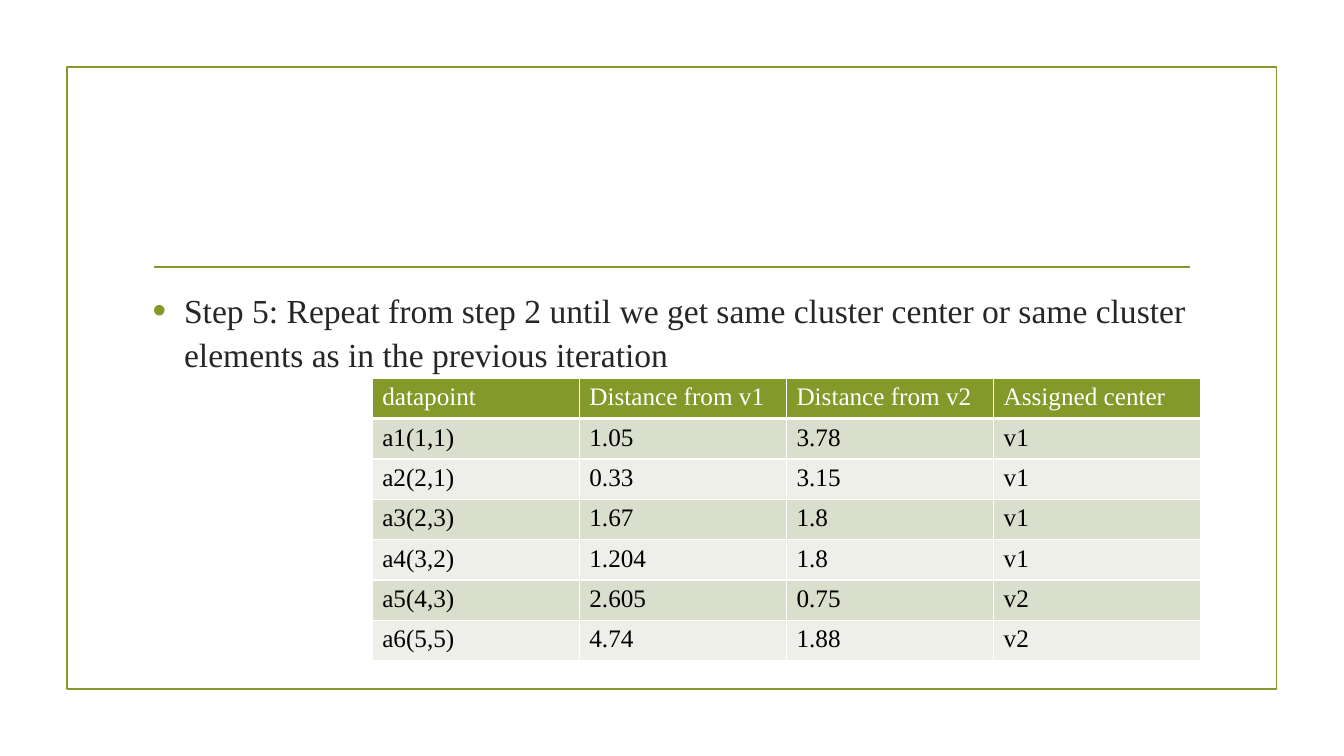
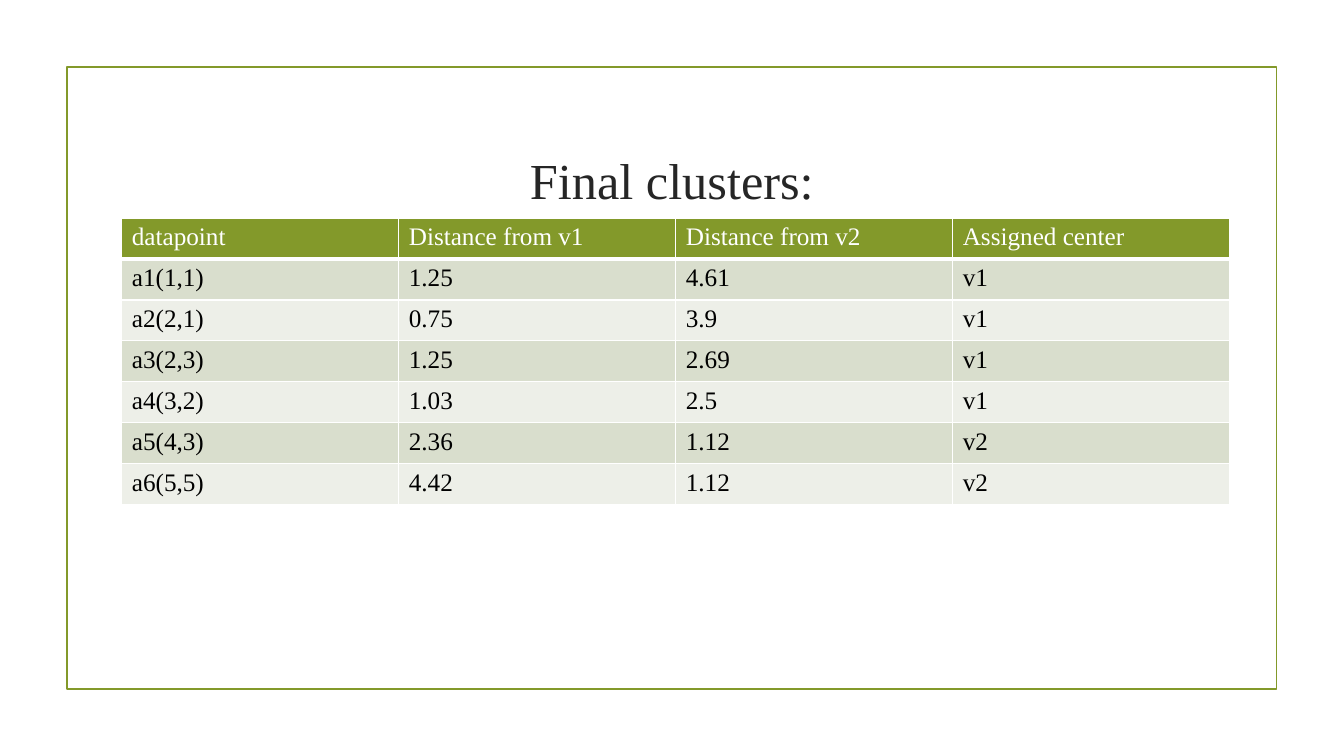
from dataclasses import dataclass
from typing import Any

import pptx
import pptx.dml.color
import pptx.enum.shapes
import pptx.enum.text
import pptx.oxml.ns
import pptx.util
from lxml import etree

Cm = pptx.util.Cm
Pt = pptx.util.Pt
RGBColor = pptx.dml.color.RGBColor
Align = pptx.enum.text.PP_ALIGN
Anchor = pptx.enum.text.MSO_ANCHOR
qn = pptx.oxml.ns.qn

GREEN = RGBColor(0x83, 0x99, 0x2A)
INK = RGBColor(0x26, 0x26, 0x26)
BLACK = RGBColor(0x00, 0x00, 0x00)
WHITE = RGBColor(0xFF, 0xFF, 0xFF)
ROW_FILLS = (RGBColor(0xD9, 0xDE, 0xCD), RGBColor(0xED, 0xEF, 0xE8))

FONT = "Times New Roman"
TITLE_FORMAT = {"name": FONT, "size": Pt(36), "color": INK}
BODY_FORMAT = {"name": FONT, "size": Pt(24), "color": INK}
HEADER_FORMAT = {"name": FONT, "size": Pt(18), "bold": False, "color": WHITE}
CELL_FORMAT = HEADER_FORMAT | {"color": BLACK}

RULE_WIDTH = Pt(1.25)
BORDER_WIDTH = Pt(1)
HEADER_BORDER_WIDTH = Pt(3)
CONTENT_LEFT = Cm(3.6)
CONTENT_WIDTH = Cm(26.67)

HEADINGS = ("datapoint", "Distance from v1", "Distance from v2", "Assigned center")
POINTS = ("a1(1,1)", "a2(2,1)", "a3(2,3)", "a4(3,2)", "a5(4,3)", "a6(5,5)")
CENTERS = ("v1", "v1", "v1", "v1", "v2", "v2")


@dataclass(frozen=True)
class DistanceTable:
    left: int
    top: int
    column_width: int
    row_height: int
    from_v1: tuple[str, ...]
    from_v2: tuple[str, ...]


REPEAT_STEP = DistanceTable(
    Cm(9.38), Cm(9.53), Cm(5.22), Cm(0.96),
    ("1.05", "0.33", "1.67", "1.204", "2.605", "4.74"),
    ("3.78", "3.15", "1.8", "1.8", "0.75", "1.88"),
)
FINAL_CLUSTERS = DistanceTable(
    Cm(3.07), Cm(5.5), Cm(6.98), Cm(1.03),
    ("1.25", "0.75", "1.25", "1.03", "2.36", "4.42"),
    ("4.61", "3.9", "2.69", "2.5", "1.12", "1.12"),
)


def set_font(font: Any, values: dict[str, Any]) -> None:
    for name, value in values.items():
        if name == "color":
            font.color.rgb = value
        else:
            setattr(font, name, value)


def add_page(deck: Any) -> Any:
    """Add a blank page with the green frame."""
    page = deck.slides.add_slide(deck.slide_layouts[6])
    frame = page.shapes.add_shape(
        pptx.enum.shapes.MSO_SHAPE.RECTANGLE, Cm(1.69), Cm(1.69), Cm(30.48), Cm(15.67)
    )
    frame.shadow.inherit = False
    frame.fill.background()
    frame.line.color.rgb = GREEN
    frame.line.width = RULE_WIDTH
    return page


def add_rule(page: Any) -> None:
    rule = page.shapes.add_connector(
        pptx.enum.shapes.MSO_CONNECTOR.STRAIGHT, Cm(3.88), Cm(6.73), Cm(30), Cm(6.73)
    )
    rule.line.color.rgb = GREEN
    rule.line.width = RULE_WIDTH
    etree.SubElement(rule.element.spPr, qn("a:effectLst"))


def add_text(page: Any, top: int, height: int, text: str) -> Any:
    box = page.shapes.add_textbox(CONTENT_LEFT, top, CONTENT_WIDTH, height)
    box.text_frame.word_wrap = True
    box.text_frame.text = text
    return box.text_frame


def add_title(page: Any, text: str) -> None:
    frame = add_text(page, Cm(2.71), Cm(3.64), text)
    frame.vertical_anchor = Anchor.MIDDLE
    para = frame.paragraphs[0]
    para.alignment = Align.CENTER
    set_font(para.runs[0].font, TITLE_FORMAT)


def add_bullet_text(page: Any, text: str) -> None:
    para = add_text(page, Cm(7.11), Cm(9.22), text).paragraphs[0]
    para.line_spacing = 1.08
    para.space_after = Pt(6)
    properties = para._p.get_or_add_pPr()
    properties.set("marL", str(Cm(0.79)))
    properties.set("indent", str(-Cm(0.79)))
    color = etree.SubElement(properties, qn("a:buClr"))
    etree.SubElement(color, qn("a:srgbClr"), val=str(GREEN))
    etree.SubElement(properties, qn("a:buSzPct"), val="115000")
    etree.SubElement(properties, qn("a:buFont"), typeface="Arial")
    etree.SubElement(properties, qn("a:buChar"), char="•")
    set_font(para.runs[0].font, BODY_FORMAT)


def set_borders(cell: Any, bottom_width: int) -> None:
    properties = cell._tc.get_or_add_tcPr()
    for index, side in enumerate(("lnL", "lnR", "lnT", "lnB")):
        width = bottom_width if side == "lnB" else BORDER_WIDTH
        border = etree.Element(qn(f"a:{side}"), w=str(width))
        fill = etree.SubElement(border, qn("a:solidFill"))
        etree.SubElement(fill, qn("a:srgbClr"), val=str(WHITE))
        properties.insert(index, border)


def add_distance_table(page: Any, content: DistanceTable) -> None:
    rows = [HEADINGS, *zip(POINTS, content.from_v1, content.from_v2, CENTERS)]
    table = page.shapes.add_table(
        len(rows), len(HEADINGS), content.left, content.top,
        content.column_width * len(HEADINGS), content.row_height * len(rows),
    ).table
    for column in table.columns:
        column.width = content.column_width
    for row_index, values in enumerate(rows):
        table.rows[row_index].height = content.row_height
        is_header = row_index == 0
        for column_index, value in enumerate(values):
            cell = table.cell(row_index, column_index)
            cell.text = value
            cell.fill.solid()
            cell.fill.fore_color.rgb = GREEN if is_header else ROW_FILLS[(row_index - 1) % 2]
            set_borders(cell, HEADER_BORDER_WIDTH if is_header else BORDER_WIDTH)
            span = cell.text_frame.paragraphs[0].runs[0]
            set_font(span.font, HEADER_FORMAT if is_header else CELL_FORMAT)


def main() -> None:
    deck = pptx.Presentation()
    deck.slide_width = Cm(33.87)
    deck.slide_height = Cm(19.05)

    page = add_page(deck)
    add_rule(page)
    add_bullet_text(
        page,
        "Step 5: Repeat from step 2 until we get same cluster center or same cluster "
        "elements as in the previous iteration",
    )
    add_distance_table(page, REPEAT_STEP)

    page = add_page(deck)
    add_title(page, "Final clusters:")
    add_distance_table(page, FINAL_CLUSTERS)

    deck.save("out.pptx")


if __name__ == "__main__":
    main()
